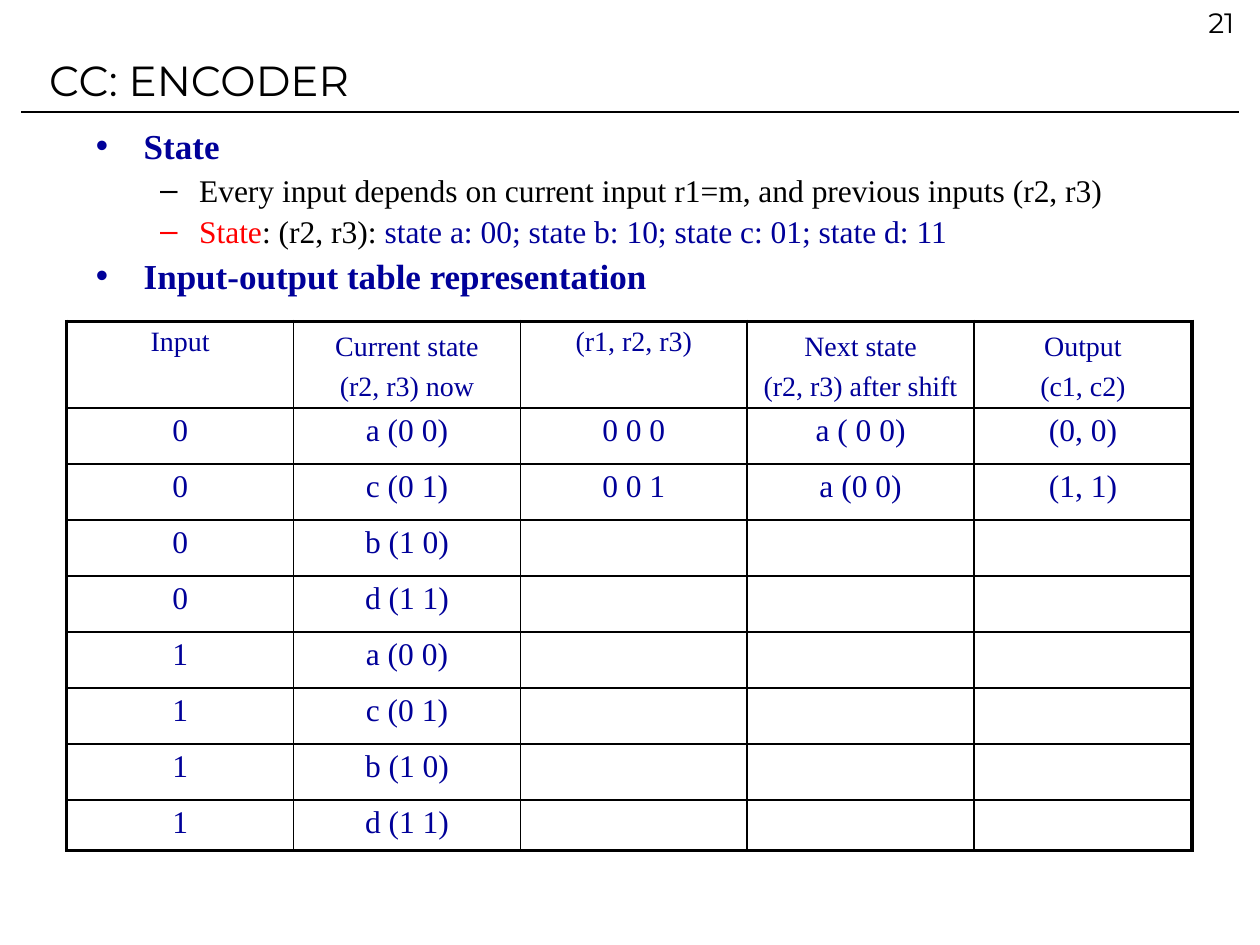
from lxml.etree import SubElement
from pptx import Presentation
from pptx.dml.color import RGBColor
from pptx.enum.shapes import MSO_CONNECTOR
from pptx.enum.text import MSO_ANCHOR, MSO_AUTO_SIZE, PP_ALIGN
from pptx.oxml.ns import qn
from pptx.util import Inches, Pt

BLACK = RGBColor(0x00, 0x00, 0x00)
NAVY = RGBColor(0x00, 0x00, 0x99)
RED = RGBColor(0xFF, 0x00, 0x00)
HEADING_FONT, BODY_FONT = "Montserrat", "Times New Roman"

TITLE = "CC: ENCODER"
PAGE_NUMBER = "21"
# Each bullet: level, space before, spans of (text, colour)
BULLETS = [
    (0, 0, [("State", NAVY)]),
    (1, 2.2, [("Every input depends on current input r1=m, "
               "and previous inputs (r2, r3)", BLACK)]),
    (1, 2.1, [("State", RED), (": (r2, r3): ", BLACK),
              ("state a: 00; state b: 10; state c: 01; state d: 11", NAVY)]),
    (0, 2.4, [("Input-output table representation", NAVY)]),
]
LEVELS = [  # by bullet level
    {"margin": 0.39, "indent": -0.38, "size": 20, "bold": True},
    {"margin": 0.83, "indent": -0.31, "size": 18, "bold": False},
]
HEADERS = ["Input", "Current state\v(r2, r3) now", "(r1, r2, r3)",
           "Next state\v(r2, r3) after shift", "Output\v(c1, c2)"]
ROWS = [
    ["0", "a (0 0)", "0 0 0", "a ( 0 0)", "(0, 0)"],
    ["0", "c (0 1)", "0 0 1", "a (0 0)", "(1, 1)"],
    ["0", "b (1 0)"],
    ["0", "d (1 1)"],
    ["1", "a (0 0)"],
    ["1", "c (0 1)"],
    ["1", "b (1 0)"],
    ["1", "d (1 1)"],
]
TABLE_LEFT, TABLE_TOP, TABLE_HEIGHT = 0.53, 2.55, 4.2
HEADER_HEIGHT, LAST_HEIGHT = 0.69, 0.4
COLUMN_WIDTHS = [1.8] * 4 + [1.73]
INNER_LINE, OUTER_LINE = 1, 2.25


def format_font(font, size, color, name=BODY_FONT, bold=False):
    values = {"name": name, "size": Pt(size), "bold": bold}
    for key, value in values.items():
        setattr(font, key, value)
    font.color.rgb = color


def place(shape, left, top, width, height):
    values = {"left": left, "top": top, "width": width, "height": height}
    for key, value in values.items():
        setattr(shape, key, Inches(value))


def set_frame(frame, top_margin):
    values = {"word_wrap": True, "auto_size": MSO_AUTO_SIZE.NONE,
              "vertical_anchor": MSO_ANCHOR.TOP, "margin_left": 0,
              "margin_right": 0, "margin_bottom": 0,
              "margin_top": Inches(top_margin)}
    for key, value in values.items():
        setattr(frame, key, value)


def add_heading(shape, text, size):
    set_frame(shape.text_frame, 0.02)
    para = shape.text_frame.paragraphs[0]
    para.text = text
    para.alignment = PP_ALIGN.LEFT
    format_font(para.runs[0].font, size, BLACK, HEADING_FONT)


def add_rule(page):
    line = page.shapes.add_connector(MSO_CONNECTOR.STRAIGHT, Inches(0.17),
                                     Inches(0.89), Inches(9.83), Inches(0.89))
    line.line.color.rgb = BLACK
    line.line.width = Pt(0.72)
    SubElement(line._element.spPr, qn("a:effectLst"))


def add_bullets(body):
    set_frame(body.text_frame, 0.07)
    for index, (level, before, spans) in enumerate(BULLETS):
        frame = body.text_frame
        para = frame.add_paragraph() if index else frame.paragraphs[0]
        style = LEVELS[level]
        para.level = level
        properties = para._p.get_or_add_pPr()
        properties.set("marL", str(Inches(style["margin"])))
        properties.set("indent", str(Inches(style["indent"])))
        para.space_before = Pt(before)
        for text, color in spans:
            span = para.add_run()
            span.text = text
            format_font(span.font, style["size"], color, bold=style["bold"])


def set_borders(cell, widths):
    """Draw black borders; widths gives points for left, right, top, bottom."""
    properties = cell._tc.get_or_add_tcPr()
    for position, (side, width) in enumerate(zip("LRTB", widths)):
        line = properties.makeelement(qn(f"a:ln{side}"), {"w": str(Pt(width))})
        fill = SubElement(line, qn("a:solidFill"))
        SubElement(fill, qn("a:srgbClr"), val=str(BLACK))
        properties.insert(position, line)


def fill_cell(cell, text, header):
    two_lines = "\v" in text
    cell.fill.background()
    cell.margin_left = cell.margin_right = cell.margin_bottom = 0
    cell.margin_top = Inches(0.01 if two_lines else 0.04)
    if not text:
        return
    para = cell.text_frame.paragraphs[0]
    para.text = text
    para.alignment = PP_ALIGN.CENTER
    if two_lines:
        para.line_spacing = Pt(23)
    for span in para.runs:
        format_font(span.font, 16 if header else 18, NAVY)


def add_state_table(page):
    row_count, column_count = len(ROWS) + 1, len(HEADERS)
    table = page.shapes.add_table(
        row_count, column_count, Inches(TABLE_LEFT), Inches(TABLE_TOP),
        Inches(sum(COLUMN_WIDTHS)), Inches(TABLE_HEIGHT)).table
    table.first_row = table.horz_banding = False
    middle = (TABLE_HEIGHT - HEADER_HEIGHT - LAST_HEIGHT) / (row_count - 2)
    heights = [HEADER_HEIGHT] + [middle] * (row_count - 2) + [LAST_HEIGHT]
    for row, height in zip(table.rows, heights):
        row.height = Inches(height)
    for column, width in zip(table.columns, COLUMN_WIDTHS):
        column.width = Inches(width)
    for r, texts in enumerate([HEADERS] + ROWS):
        for c in range(column_count):
            cell = table.cell(r, c)
            fill_cell(cell, texts[c] if c < len(texts) else "", r == 0)
            on_edge = (c == 0, c == column_count - 1,
                       r == 0, r == row_count - 1)
            set_borders(cell, [OUTER_LINE if edge else INNER_LINE
                               for edge in on_edge])


def main():
    deck = Presentation()
    deck.slide_width, deck.slide_height = Inches(10), Inches(7.5)
    page = deck.slides.add_slide(deck.slide_layouts[1])
    title, body = page.placeholders
    add_rule(page)
    place(title, 0.39, 0.41, 9.22, 0.36)
    add_heading(title, TITLE, 24)
    number = page.shapes.add_textbox(Inches(9.59), Inches(0.02),
                                     Inches(0.33), Inches(0.29))
    add_heading(number, PAGE_NUMBER, 16)
    place(body, 0.75, 0.92, 8.01, 1.42)
    add_bullets(body)
    add_state_table(page)
    deck.save("out.pptx")


if __name__ == "__main__":
    main()
